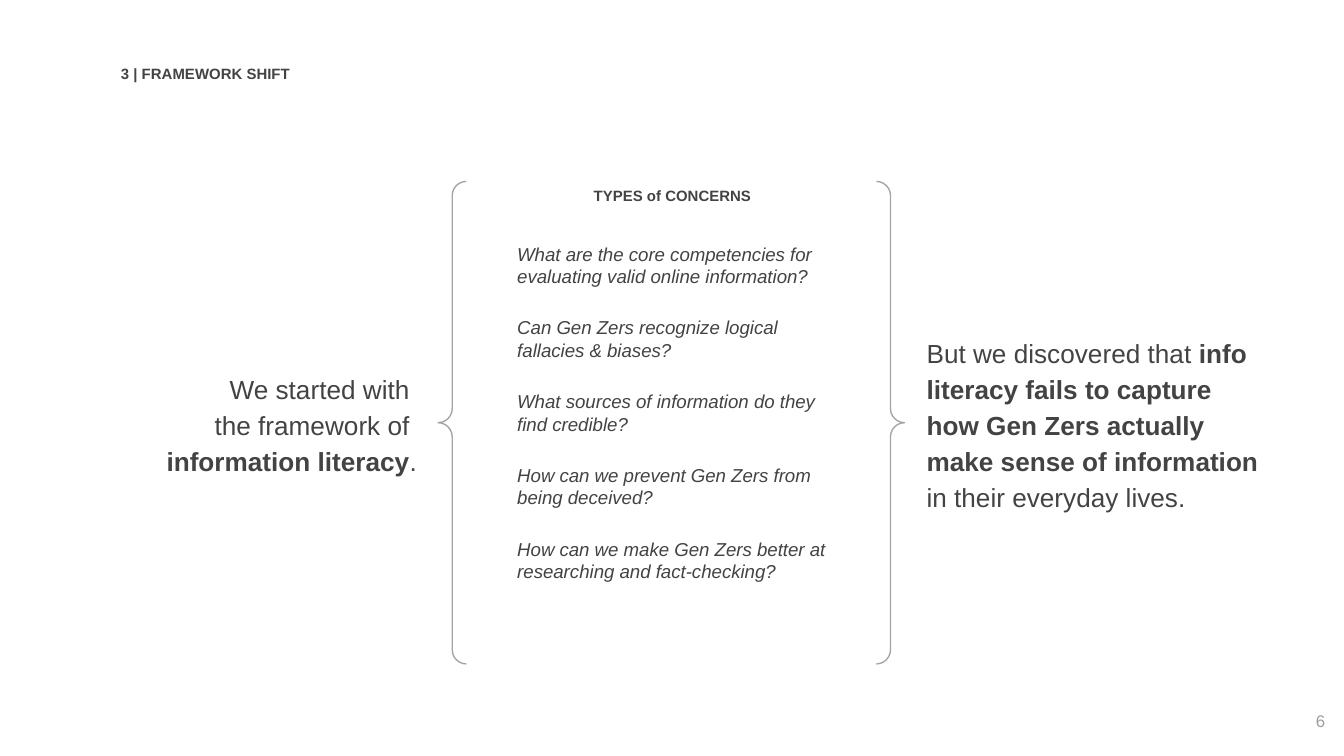
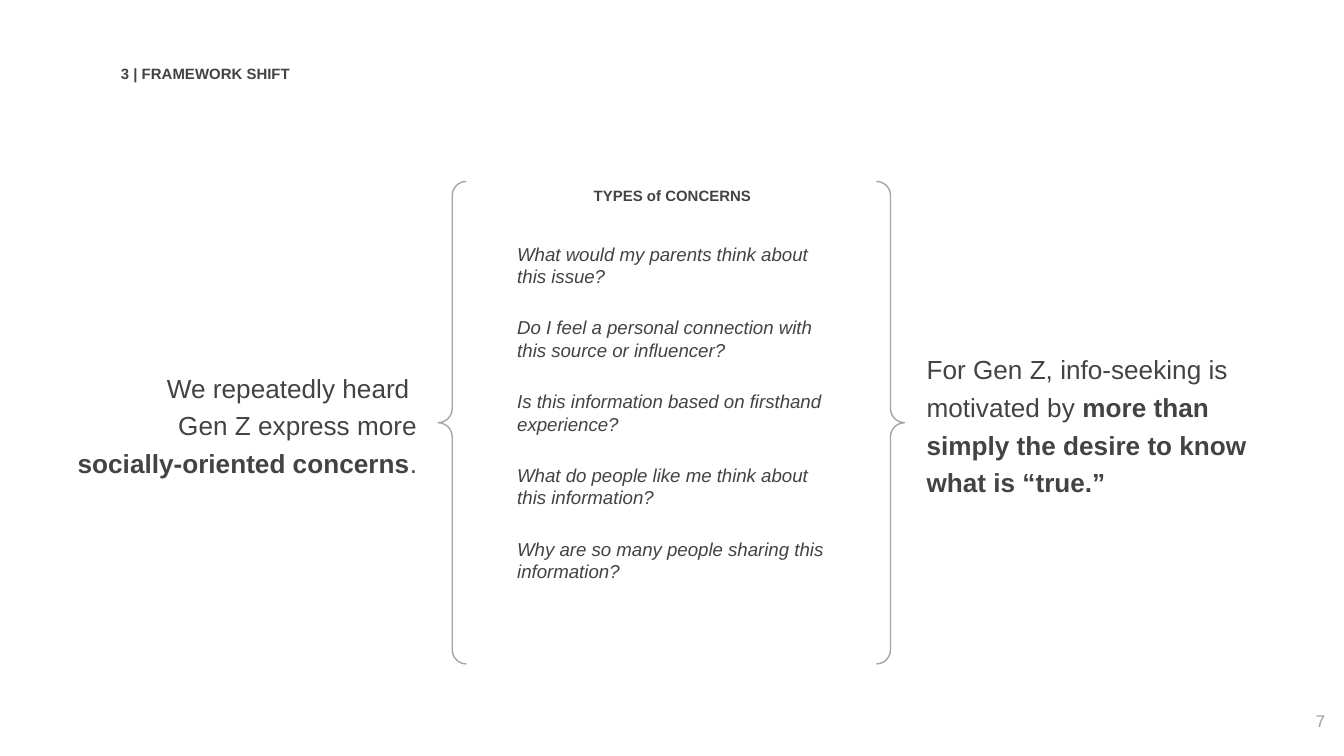
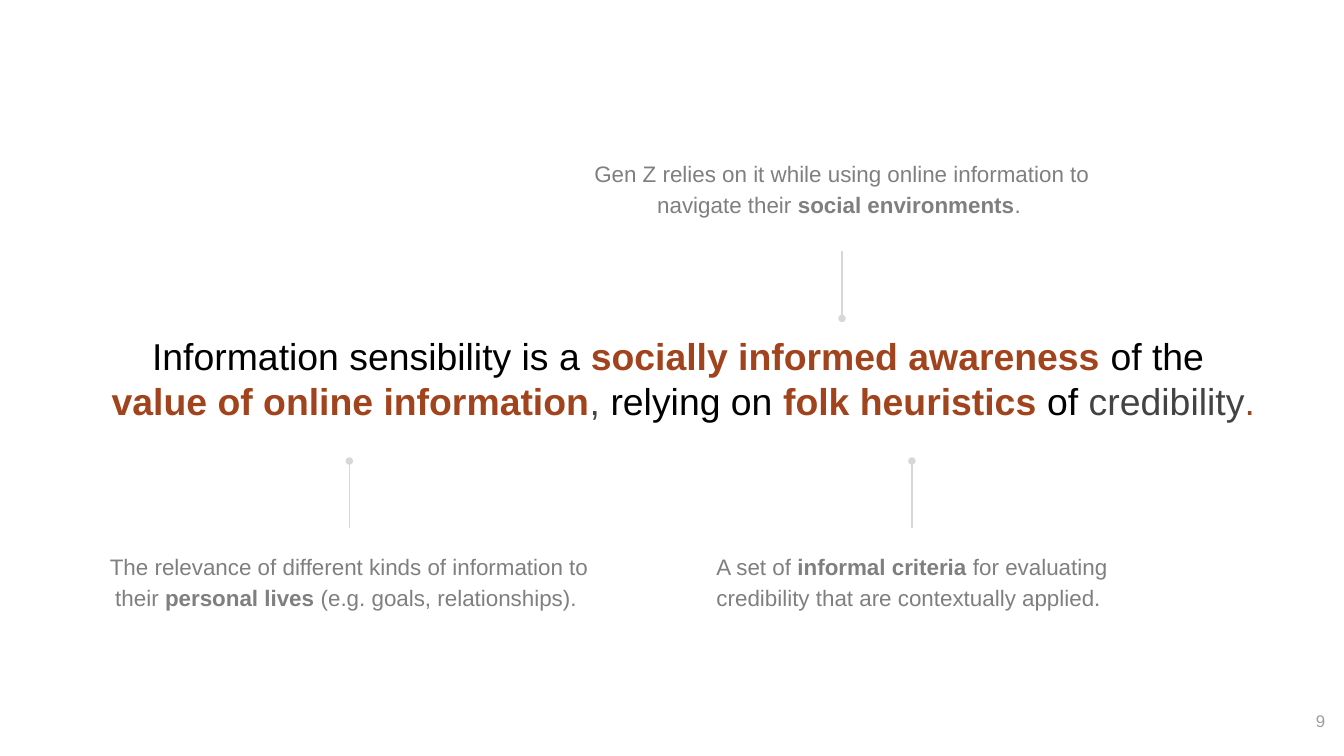
"""Build three slides on the shift from information literacy to information sensibility."""
from lxml import etree
from pptx import Presentation
from pptx.dml.color import RGBColor
from pptx.enum.shapes import MSO_CONNECTOR, MSO_SHAPE
from pptx.enum.text import MSO_ANCHOR, MSO_AUTO_SIZE, PP_ALIGN
from pptx.oxml.ns import qn
from pptx.util import Pt

LEFT, CENTER, RIGHT = PP_ALIGN.LEFT, PP_ALIGN.CENTER, PP_ALIGN.RIGHT
TOP, MIDDLE = MSO_ANCHOR.TOP, MSO_ANCHOR.MIDDLE
STRAIGHT = MSO_CONNECTOR.STRAIGHT
LEFT_BRACE, RIGHT_BRACE = MSO_SHAPE.LEFT_BRACE, MSO_SHAPE.RIGHT_BRACE

FONT = "Arial"
BLACK = RGBColor(0x00, 0x00, 0x00)
INK = RGBColor(0x43, 0x43, 0x43)
RUST = RGBColor(0xA1, 0x44, 0x1D)
NOTE_GRAY = RGBColor(0x7F, 0x7F, 0x7F)
NUMBER_GRAY = RGBColor(0x9E, 0x9E, 0x9E)
BRACE_GRAY = RGBColor(0xA5, 0xA5, 0xA5)
POINTER_GRAY = RGBColor(0xD7, 0xD7, 0xD7)

TIGHT = (5, 3)
WIDE = (7.2, 7.2)
NOTE_INSET = (7.2, 3.6)
BRACE_TOP, BRACE_WIDTH, BRACE_HEIGHT = 97.2, 15.1, 258.5
QUESTION_TOP, QUESTION_PITCH = 124.6, 39.5


def fill_text(shape, box, paragraphs, size, color=INK, alignment=LEFT, spacing=1.0,
              inset=TIGHT, anchor=MIDDLE, italic=False):
    """Place a text shape and write its paragraphs as (text, bold, color) runs."""
    shape.left, shape.top, shape.width, shape.height = [Pt(length) for length in box]
    frame = shape.text_frame
    frame.word_wrap = True
    frame.auto_size = MSO_AUTO_SIZE.NONE
    frame.vertical_anchor = anchor
    frame.margin_left = frame.margin_right = Pt(inset[0])
    frame.margin_top = frame.margin_bottom = Pt(inset[1])
    for index, runs in enumerate(paragraphs):
        paragraph = frame.add_paragraph() if index else frame.paragraphs[0]
        paragraph.alignment = alignment
        paragraph.line_spacing = spacing
        for text, bold, *run_color in runs:
            if text == "\n":
                paragraph.add_line_break()
                continue
            run = paragraph.add_run()
            run.text = text
            run.font.name = FONT
            run.font.size = Pt(size)
            run.font.bold = bold
            run.font.italic = italic
            run.font.color.rgb = run_color[0] if run_color else color


def add_text(slide, box, paragraphs, size, **style):
    """Add a text box with the given runs and return it."""
    text_box = slide.shapes.add_textbox(0, 0, 0, 0)
    fill_text(text_box, box, paragraphs, size, **style)
    return text_box


presentation = Presentation()
presentation.slide_width, presentation.slide_height = Pt(720), Pt(405)
title_only = presentation.slide_layouts[5]

framework_slides = [
    {
        "spacing": 1.15,
        "before": [[
            ("We started with ", False), ("\n", False),
            ("the framework of ", False), ("\n", False),
            ("information literacy", True), (".", False),
        ]],
        "questions": [
            "What are the core competencies for evaluating valid online information?",
            "Can Gen Zers recognize logical fallacies & biases?",
            "What sources of information do they find credible?",
            "How can we prevent Gen Zers from being deceived?",
            "How can we make Gen Zers better at researching and fact-checking?",
        ],
        "after": [[
            ("But we discovered that ", False),
            ("info literacy fails to capture how Gen Zers actually make sense of information", True),
            (" in their everyday lives.", False),
        ]],
    },
    {
        "spacing": 1.2,
        "before": [
            [("We repeatedly heard ", False)],
            [("Gen Z express more ", False), ("socially-oriented concerns", True), (". ", False)],
        ],
        "questions": [
            "What would my parents think about this issue?",
            "Do I feel a personal connection with this source or influencer?",
            "Is this information based on firsthand experience?",
            "What do people like me think about this information?",
            "Why are so many people sharing this information?",
        ],
        "after": [[
            ("For Gen Z, info-seeking is motivated by ", False),
            ("more than simply the desire to know what is “true.”", True),
        ]],
    },
]

for content in framework_slides:
    slide = presentation.slides.add_slide(title_only)
    fill_text(slide.shapes.title, (59.8, 31.7, 244, 14.4),
              [[("3 | FRAMEWORK SHIFT", True)]], 8, spacing=1.12)
    for brace_kind, brace_left in ((LEFT_BRACE, 234.7), (RIGHT_BRACE, 469.5)):
        brace = slide.shapes.add_shape(brace_kind, Pt(brace_left), Pt(BRACE_TOP),
                                       Pt(BRACE_WIDTH), Pt(BRACE_HEIGHT))
        brace.adjustments[0] = brace.adjustments[1] = 0.5
        brace.shadow.inherit = False
        brace.fill.background()
        brace.line.color.rgb = BRACE_GRAY
        brace.line.width = Pt(0.75)
    add_text(slide, (36.4, 129, 192, 194.6), content["before"], 14,
             alignment=RIGHT, spacing=content["spacing"])
    add_text(slide, (491.4, 162, 189, 128.9), content["after"], 14, spacing=content["spacing"])
    add_text(slide, (310.3, 97.2, 100, 14.4), [[("TYPES of CONCERNS", True)]], 8,
             alignment=CENTER, spacing=1.12)
    for row, question in enumerate(content["questions"]):
        add_text(slide, (270, QUESTION_TOP + row * QUESTION_PITCH, 184, 34.6),
                 [[(question, False)]], 10, inset=WIDE, italic=True)

slide = presentation.slides.add_slide(title_only)
fill_text(slide.shapes.title, (23, 128.2, 686.2, 148.3), [[
    ("Information sensibility is a ", False),
    ("socially informed awareness", True, RUST),
    (" of the ", False), ("\n", False),
    ("value of online information", True, RUST),
    (", ", False, INK),
    ("relying on ", False),
    ("folk heuristics ", True, RUST),
    ("of ", False),
    ("credibility", False, INK),
    (".", False, RUST),
]], 20, color=BLACK, alignment=CENTER, inset=WIDE)

notes = [
    ((362.2, 283, 252.7, 55.4), 283, 247, True,
     [("A set of ", False), ("informal criteria", True),
      (" for evaluating credibility that are contextually applied. ", False)]),
    ((294.5, 72.7, 313.2, 55.4), 134.6, 170.6, False,
     [("Gen Z relies on it while using online information to navigate their ", False),
      ("social environments", True), (". ", False)]),
    ((44.6, 283, 285.1, 55.4), 283, 247, True,
     [("The relevance of different kinds of information to their ", False),
      ("personal lives ", True), ("(e.g. goals, relationships). ", False)]),
]
for box, pointer_start, pointer_end, joined, runs in notes:
    note = add_text(slide, box, [runs], 12, color=NOTE_GRAY, alignment=CENTER,
                    spacing=1.15, inset=NOTE_INSET)
    middle = box[0] + box[2] / 2
    pointer = slide.shapes.add_connector(STRAIGHT, Pt(middle), Pt(pointer_start),
                                         Pt(middle), Pt(pointer_end))
    if joined:
        pointer.begin_connect(note, 0)
    pointer.line.color.rgb = POINTER_GRAY
    pointer.line.width = Pt(0.75)
    etree.SubElement(pointer.line._get_or_add_ln(), qn("a:tailEnd"),
                     type="oval", w="sm", len="sm")
    etree.SubElement(pointer._element.spPr, qn("a:effectLst"))

for slide, number in zip(presentation.slides, ("6", "7", "9")):
    add_text(slide, (673.9, 373.7, 43.2, 31), [[(number, False)]], 9, color=NUMBER_GRAY,
             alignment=RIGHT, inset=WIDE, anchor=TOP)

presentation.save("out.pptx")
